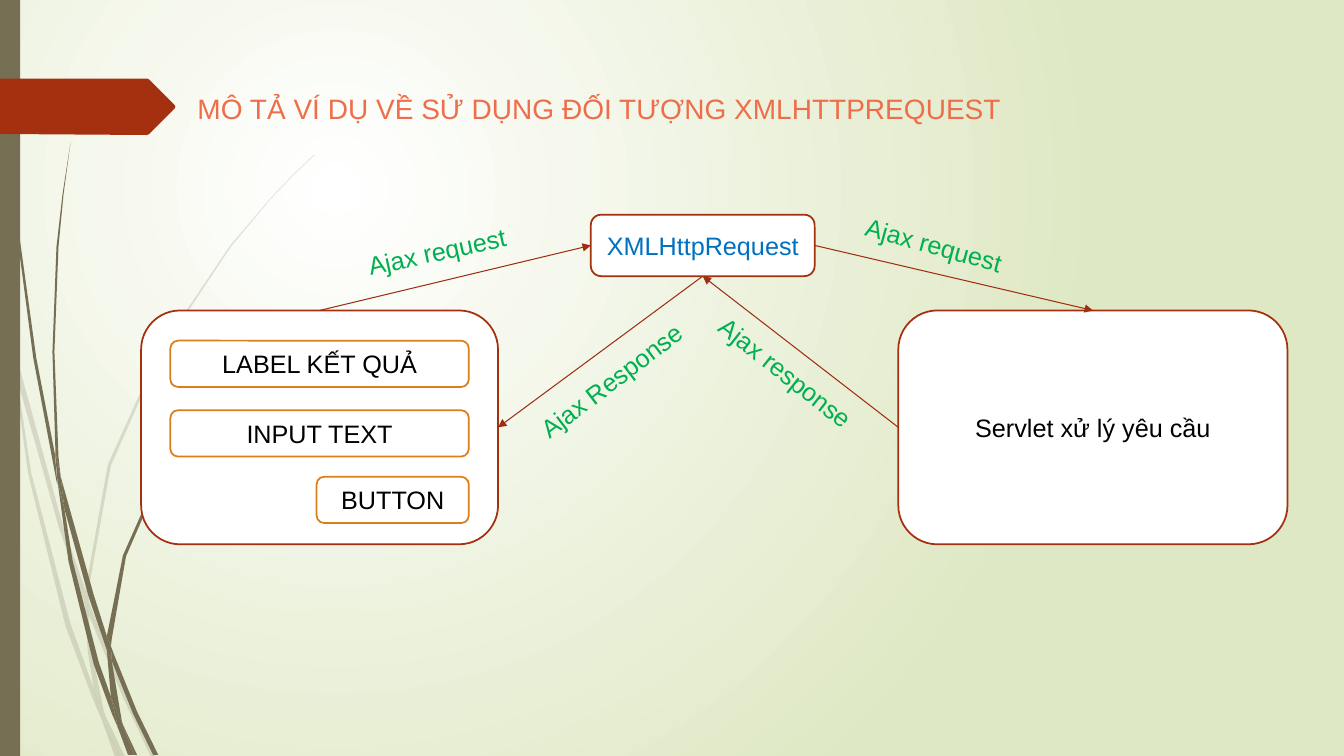
from dataclasses import dataclass
from typing import NamedTuple

from lxml.etree import SubElement
from pptx import Presentation
from pptx.dml.color import RGBColor
from pptx.enum.shapes import MSO_CONNECTOR as Conn, MSO_SHAPE as Shape
from pptx.enum.text import MSO_ANCHOR as Anchor, MSO_AUTO_SIZE as AutoSize, PP_ALIGN as Align
from pptx.oxml import parse_xml
from pptx.oxml.ns import nsdecls, qn
from pptx.util import Inches, Pt

WIDTH, HEIGHT = Inches(13.33), Inches(7.5)
COLS, ROWS = 1333, 750
TOP, LEFT, BOTTOM, RIGHT = range(4)


@dataclass(frozen=True)
class Theme:
    font: str = "Arial"
    title_size: float = 20
    body_size: float = 18
    border: float = 1.25
    arrow_width: float = 0.75
    white: str = "FFFFFF"
    mist: str = "DFE8C4"
    olive: str = "766F54"
    rust: str = "A53010"
    arrow: str = "9E2E0F"
    orange: str = "DE7E18"
    coral: str = "EE6E4B"
    blue: str = "0070C0"
    green: str = "00B050"
    black: str = "000000"


T = Theme()


class Card(NamedTuple):
    name: str
    x: int
    y: int
    w: int
    h: int
    text: str
    border: str
    color: str = T.black


class Arrow(NamedTuple):
    start: str
    start_side: int
    end: str
    end_side: int


class Label(NamedTuple):
    x: int
    y: int
    w: int
    h: int
    text: str
    angle: float = 0
    color: str = T.green
    size: float = T.body_size
    wrap: bool = False


PALE_BLADES = [
    [(11, 350), (9, 322), (0, 282), (0, 299), (10, 344)],
    [(58, 522), (84, 599), (85, 586), (62, 520), (14, 345), (17, 376)],
    [(92, 607), (88, 596), (88, 610), (123, 694), (150, 751), (155, 751), (127, 692)],
    [(119, 751), (124, 751), (105, 711)],
    [(93, 683), (70, 619), (31, 469), (17, 376), (11, 350), (28, 470), (65, 621), (92, 693),
     (101, 714), (99, 707)],
    [(84, 599), (87, 646), (93, 683), (96, 692), (105, 711), (103, 706), (91, 646), (88, 610),
     (88, 608)],
    [(88, 584), (110, 462), (160, 349), (229, 245), (268, 198), (290, 175), (312, 154),
     (312, 153), (289, 175), (268, 197), (228, 244), (158, 348), (107, 461), (85, 584),
     (85, 586), (88, 596)],
    [(101, 714), (114, 751), (119, 751)],
    [(88, 608), (88, 610), (88, 596), (85, 586), (84, 599)],
    [(96, 692), (93, 683), (99, 707), (101, 714), (119, 751), (105, 711)],
]
DARK_BLADES = [
    [(7, 110), (17, 233), (33, 355), (56, 477), (57, 481), (55, 457), (55, 453), (36, 355),
     (19, 232), (8, 109), (5, 48), (4, 0), (3, 0), (4, 48)],
    [(88, 592), (106, 645), (106, 633), (106, 631), (93, 590), (60, 472), (64, 505)],
    [(113, 649), (110, 641), (111, 656), (132, 708), (152, 749), (157, 749), (136, 706)],
    [(110, 691), (98, 657), (72, 556), (64, 505), (57, 477), (68, 557), (93, 659), (111, 708),
     (117, 722), (116, 717)],
    [(60, 472), (58, 453), (54, 349), (58, 245), (63, 193), (70, 141), (62, 193), (56, 245),
     (52, 349), (55, 449)],
    [(133, 749), (136, 749), (122, 719)],
    [(57, 477), (64, 505), (60, 472), (55, 449), (55, 453)],
    [(111, 633), (125, 552), (158, 476), (205, 406), (231, 374), (245, 359), (261, 344),
     (260, 344), (245, 358), (231, 373), (204, 405), (156, 474), (122, 551), (106, 631),
     (110, 641)],
    [(117, 722), (127, 749), (131, 749)],
    [(106, 645), (110, 691), (116, 706), (122, 719), (121, 716), (111, 656), (109, 651)],
    [(106, 645), (109, 651), (111, 656), (110, 641), (106, 631), (106, 633)],
    [(116, 706), (110, 691), (116, 717), (117, 722), (130, 749), (133, 749), (122, 719)],
]
TITLE_ARROW = [(0, 78), (146, 78), (148, 79), (173, 104), (174, 106), (173, 108), (148, 133),
               (146, 134), (0, 133)]

CARDS = [
    Card("form", 140, 308, 354, 232, "", T.rust),
    Card("servlet", 891, 308, 386, 232, "Servlet xử lý yêu cầu", T.rust),
    Card("xhr", 586, 213, 222, 61, "XMLHttpRequest", T.rust, T.blue),
    Card("input", 169, 407, 296, 46, "INPUT TEXT", T.orange),
    Card("button", 314, 473, 151, 46, "BUTTON", T.orange),
    Card("result", 169, 338, 296, 46, "LABEL KẾT QUẢ", T.orange),
]
ARROWS = [
    Arrow("form", TOP, "xhr", LEFT),
    Arrow("xhr", RIGHT, "servlet", TOP),
    Arrow("servlet", LEFT, "xhr", BOTTOM),
    Arrow("xhr", BOTTOM, "form", RIGHT),
]
LABELS = [
    Label(186, 86, 1132, 44, "MÔ TẢ VÍ DỤ VỀ SỬ DỤNG ĐỐI TƯỢNG XMLHTTPREQUEST",
          color=T.coral, size=T.title_size, wrap=True),
    Label(354, 229, 160, 40, "Ajax request", 347.7),
    Label(847, 223, 160, 40, "Ajax request", 15.3),
    Label(690, 350, 180, 40, "Ajax response", 38.2),
    Label(512, 357, 190, 40, "Ajax Response", 322.8),
]


def grid(x: int, y: int, w: int, h: int) -> tuple[int, ...]:
    return (WIDTH * x // COLS, HEIGHT * y // ROWS, WIDTH * w // COLS, HEIGHT * h // ROWS)


def paint(sp, fill: str, border: str = "") -> None:
    sp.shadow.inherit = False
    sp.fill.solid()
    sp.fill.fore_color.rgb = RGBColor.from_string(fill)
    if border:
        sp.line.color.rgb = RGBColor.from_string(border)
        sp.line.width = Pt(T.border)
    else:
        sp.line.fill.background()


def write(tf, text: str, color: str, size: float) -> None:
    tf.text = text
    for r in tf.paragraphs[0].runs:
        r.font.name, r.font.size = T.font, Pt(size)
        r.font.color.rgb = RGBColor.from_string(color)


def draw_background(s) -> None:
    s.background.fill.solid()
    bg = s.element.xpath(".//p:bgPr")[0]
    stops = "".join(f'<a:gs pos="{pos}"><a:srgbClr val="{color}"/></a:gs>'
                    for pos, color in ((0, T.white), (100000, T.mist)))
    bg.replace(bg[0], parse_xml(
        f'<a:gradFill {nsdecls("a")} rotWithShape="1"><a:gsLst>{stops}</a:gsLst>'
        '<a:path path="circle"><a:fillToRect l="50000" t="50000" r="100000" b="100000"/>'
        '</a:path></a:gradFill>'))


def draw_outline(shapes, points: list[tuple[int, int]], color: str, opacity: int = 100) -> None:
    fb = shapes.build_freeform(*points[0], scale=(WIDTH / COLS, HEIGHT / ROWS))
    fb.add_line_segments(points[1:], close=True)
    sp = fb.convert_to_shape()
    paint(sp, color)
    if opacity < 100:
        clr = sp.element.spPr.find(qn("a:solidFill"))[0]
        SubElement(clr, qn("a:alpha"), val=str(opacity * 1000))


def draw_card(s, card: Card):
    sp = s.shapes.add_shape(Shape.ROUNDED_RECTANGLE, *grid(card.x, card.y, card.w, card.h))
    paint(sp, T.white, card.border)
    if card.text:
        tf = sp.text_frame
        write(tf, card.text, card.color, T.body_size)
        tf.vertical_anchor = Anchor.MIDDLE
        tf.paragraphs[0].alignment = Align.CENTER
    return sp


def draw_arrow(s, arrow: Arrow, cards: dict) -> None:
    cx = s.shapes.add_connector(Conn.STRAIGHT, 0, 0, 0, 0)
    cx.begin_connect(cards[arrow.start], arrow.start_side)
    cx.end_connect(cards[arrow.end], arrow.end_side)
    cx.line.color.rgb = RGBColor.from_string(T.arrow)
    cx.line.width = Pt(T.arrow_width)
    SubElement(cx.line._get_or_add_ln(), qn("a:tailEnd"), type="triangle")
    SubElement(cx.element.spPr, qn("a:effectLst"))


def draw_label(s, label: Label) -> None:
    tb = s.shapes.add_textbox(*grid(label.x, label.y, label.w, label.h))
    tb.rotation = label.angle
    tf = tb.text_frame
    write(tf, label.text, label.color, label.size)
    tf.word_wrap = label.wrap
    tf.auto_size = AutoSize.SHAPE_TO_FIT_TEXT


def main() -> None:
    prs = Presentation()
    prs.slide_width, prs.slide_height = WIDTH, HEIGHT
    s = prs.slides.add_slide(prs.slide_layouts[6])
    draw_background(s)
    for blades, opacity in ((PALE_BLADES, 20), (DARK_BLADES, 100)):
        group = s.shapes.add_group_shape()
        for blade in blades:
            draw_outline(group.shapes, blade, T.olive, opacity)
    paint(s.shapes.add_shape(Shape.RECTANGLE, *grid(0, 0, 20, ROWS)), T.olive)
    draw_outline(s.shapes, TITLE_ARROW, T.rust)
    cards = {card.name: draw_card(s, card) for card in CARDS}
    for arrow in ARROWS:
        draw_arrow(s, arrow, cards)
    for label in LABELS:
        draw_label(s, label)
    prs.save("out.pptx")


if __name__ == "__main__":
    main()
